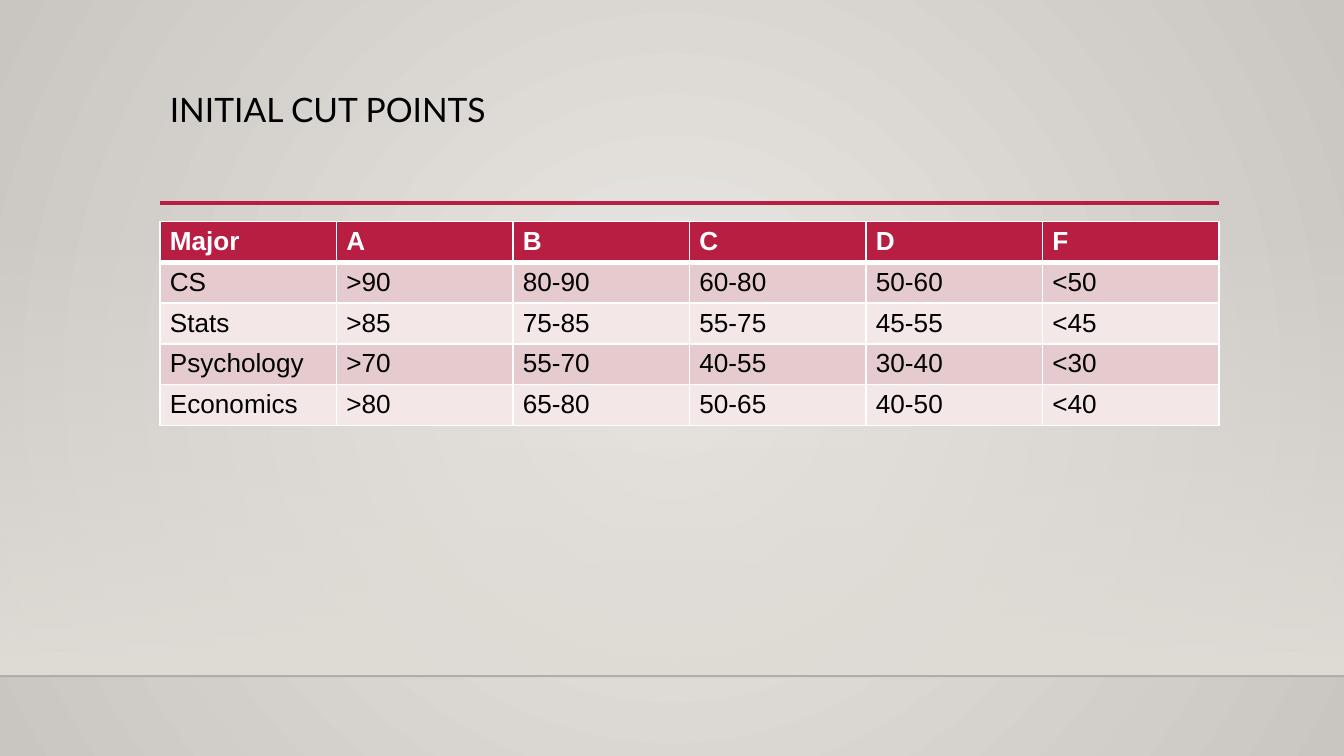
"""Build the slide with the table of initial cut points."""
from lxml import etree
from pptx import Presentation
from pptx.dml.color import RGBColor
from pptx.enum.shapes import MSO_CONNECTOR, MSO_SHAPE
from pptx.enum.text import MSO_ANCHOR, PP_ALIGN
from pptx.oxml import parse_xml
from pptx.oxml.ns import nsdecls, qn
from pptx.util import Cm, Pt

RECTANGLE = MSO_SHAPE.RECTANGLE
STRAIGHT = MSO_CONNECTOR.STRAIGHT
TOP = MSO_ANCHOR.TOP
LEFT = PP_ALIGN.LEFT

BLACK = RGBColor(0x00, 0x00, 0x00)
WHITE = RGBColor(0xFF, 0xFF, 0xFF)
CRIMSON = RGBColor(0xB7, 0x1E, 0x42)
ROSE = RGBColor(0xE5, 0xCB, 0xCD)
PALE_ROSE = RGBColor(0xF3, 0xE7, 0xE8)
BACKGROUND_CENTRE = RGBColor(0xEB, 0xE9, 0xE6)
BACKGROUND_EDGE = RGBColor(0xC9, 0xC5, 0xC0)
SAND = RGBColor(0xDF, 0xDB, 0xD5)

PAGE_WIDTH = Cm(25.4)
CONTENT_LEFT = Cm(3.02)
CONTENT_WIDTH = Cm(20.02)
FLOOR_TOP = Cm(12.78)
RULE_TOP = Cm(3.84)
ROW_HEIGHT = Cm(0.77)

CUT_POINTS = [
    ["Major", "A", "B", "C", "D", "F"],
    ["CS", ">90", "80-90", "60-80", "50-60", "<50"],
    ["Stats", ">85", "75-85", "55-75", "45-55", "<45"],
    ["Psychology", ">70", "55-70", "40-55", "30-40", "<30"],
    ["Economics", ">80", "65-80", "50-65", "40-50", "<40"],
]


def set_gradient(fill, first, last):
    fill.gradient()
    for stop, color, position in zip(fill.gradient_stops, (first, last), (0, 1)):
        stop.color.rgb = color
        stop.position = position


def set_alpha(element, percent):
    color = element.find(".//" + qn("a:srgbClr"))
    etree.SubElement(color, qn("a:alpha"), val=str(percent * 1000))


deck = Presentation()
deck.slide_width = PAGE_WIDTH
deck.slide_height = Cm(14.29)
page = deck.slides.add_slide(deck.slide_layouts[5])

set_gradient(page.background.fill, BACKGROUND_CENTRE, BACKGROUND_EDGE)
direction = page.element.find(".//" + qn("a:lin"))
direction.getparent().replace(direction, parse_xml(
    f'<a:path {nsdecls("a")} path="circle">'
    '<a:fillToRect l="50000" t="50000" r="50000" b="50000"/></a:path>'))

wall_top = Cm(4.22)
wall = page.shapes.add_shape(RECTANGLE, 0, wall_top, PAGE_WIDTH, FLOOR_TOP - wall_top)
wall.shadow.inherit = False
wall.line.fill.background()
set_gradient(wall.fill, SAND, SAND)
wall.fill.gradient_angle = 270
set_alpha(wall.element.spPr, 0)

for left, top, width, color, weight, opacity in [
    (0, FLOOR_TOP, PAGE_WIDTH, BLACK, 1, 20),
    (CONTENT_LEFT, RULE_TOP, CONTENT_WIDTH, CRIMSON, 2.5, 100),
]:
    rule = page.shapes.add_connector(STRAIGHT, left, top, left + width, top)
    rule.line.color.rgb = color
    rule.line.width = Pt(weight)
    set_alpha(rule._element.spPr, opacity)
    etree.SubElement(rule._element.spPr, qn("a:effectLst"))

title = page.shapes.title
title.left, title.top = CONTENT_LEFT, Cm(1.67)
title.width, title.height = CONTENT_WIDTH, Cm(2.17)
frame = title.text_frame
frame.text = "INITIAL CUT POINTS"
frame.word_wrap = True
frame.vertical_anchor = TOP
frame.margin_left = frame.margin_right = Cm(0.19)
frame.margin_top = frame.margin_bottom = Cm(0.1)
heading = frame.paragraphs[0]
heading.alignment = LEFT
heading.line_spacing = 0.9
span = heading.runs[0]
span.font.name = "Lato"
span.font.size = Pt(18)
span.font.color.rgb = BLACK

table = page.shapes.add_table(
    len(CUT_POINTS), len(CUT_POINTS[0]), CONTENT_LEFT, Cm(4.19),
    CONTENT_WIDTH, ROW_HEIGHT * len(CUT_POINTS)).table
for row_number, values in enumerate(CUT_POINTS):
    is_header = row_number == 0
    row_fill = CRIMSON if is_header else (PALE_ROSE, ROSE)[row_number % 2]
    for column_number, value in enumerate(values):
        cell = table.cell(row_number, column_number)
        cell.text_frame.text = value
        cell.margin_left = cell.margin_right = Cm(0.19)
        cell.margin_top = cell.margin_bottom = Cm(0.1)
        font = cell.text_frame.paragraphs[0].runs[0].font
        font.name = "Arial"
        font.size = Pt(14)
        font.bold = is_header
        font.color.rgb = WHITE if is_header else BLACK
        for side in "LRTB":
            thick = (row_number, side) in [(0, "B"), (1, "T")]
            cell._tc.get_or_add_tcPr().append(parse_xml(
                f'<a:ln{side} {nsdecls("a")} w="{Pt(3 if thick else 1)}">'
                f'<a:solidFill><a:srgbClr val="{WHITE}"/></a:solidFill></a:ln{side}>'))
        cell.fill.solid()
        cell.fill.fore_color.rgb = row_fill

deck.save("out.pptx")
